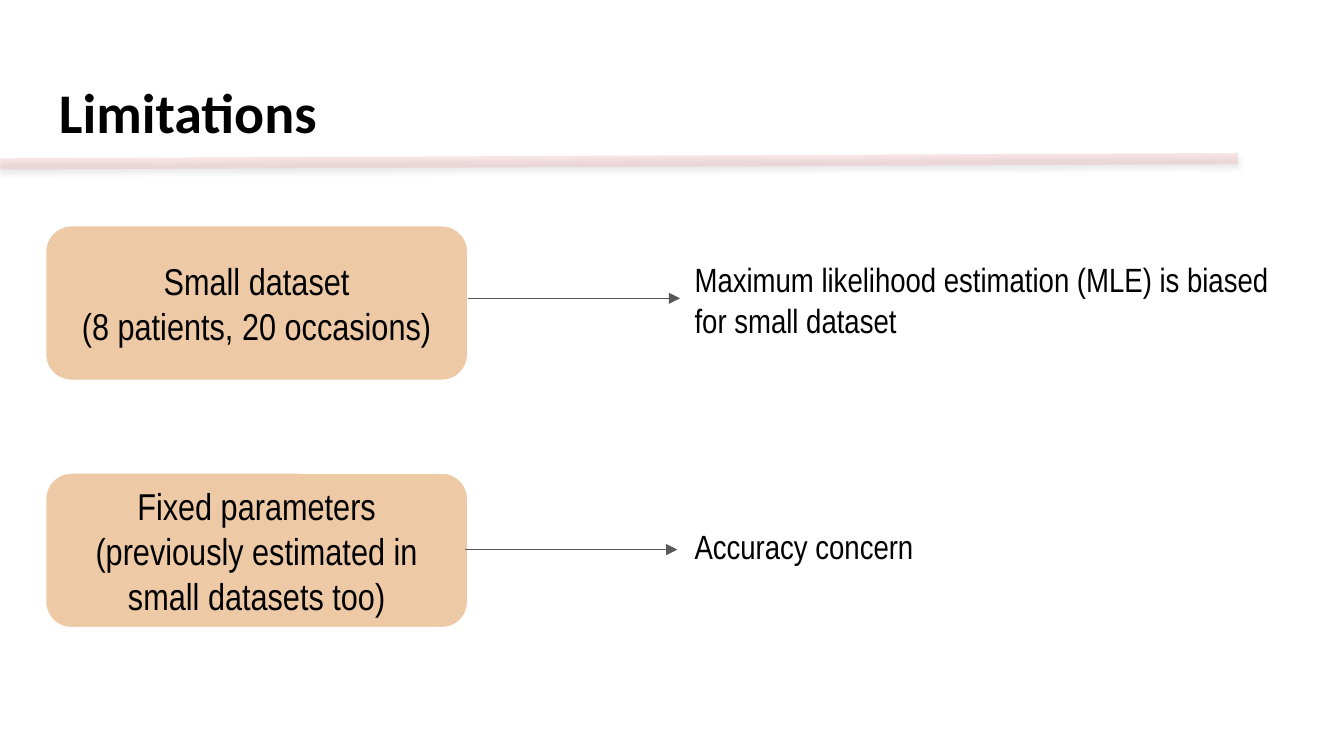
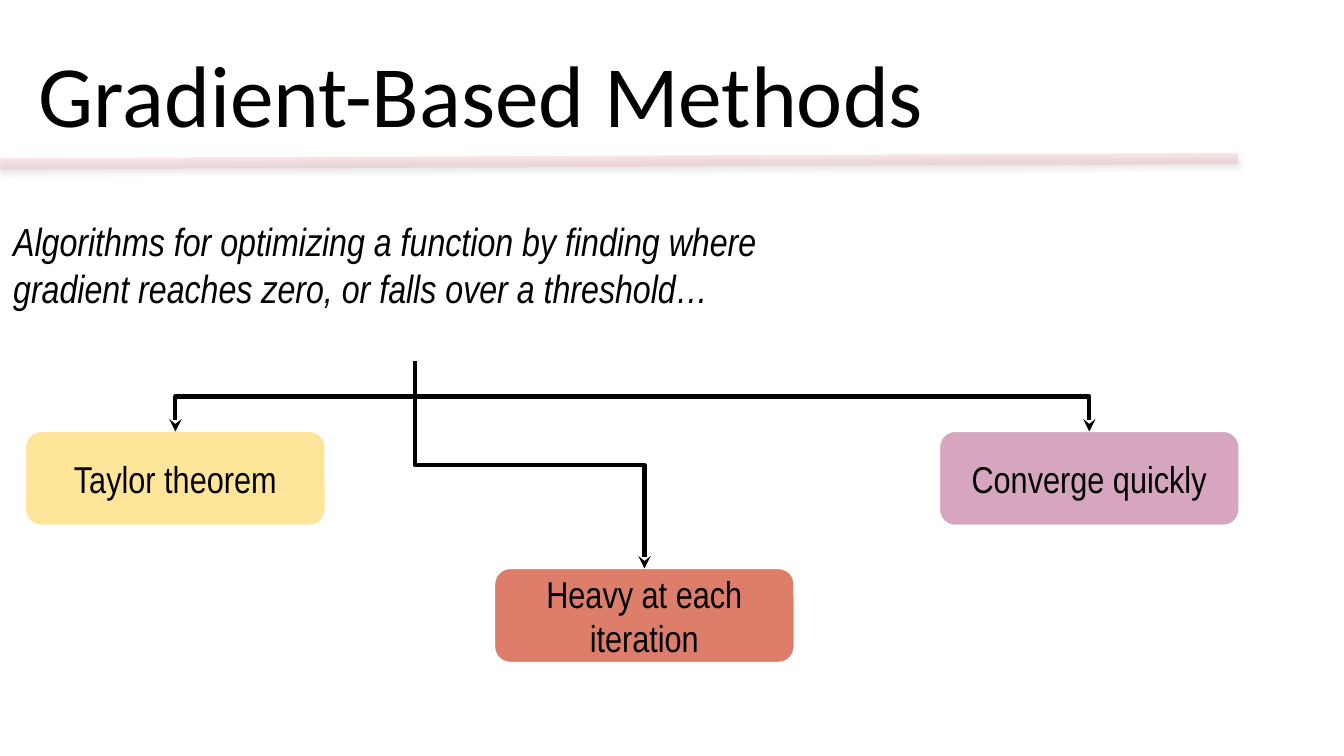
from lxml.etree import SubElement as Sub
from pptx import Presentation
from pptx.dml.color import RGBColor
from pptx.enum.shapes import MSO_CONNECTOR as Conn, MSO_SHAPE as Shape
from pptx.enum.text import MSO_ANCHOR as Anchor, PP_ALIGN as Align
from pptx.oxml.ns import qn
from pptx.util import Inches, Pt

BLACK, WHITE, GREY = "000000", "FFFFFF", "595959"
ROSE, SAND = "EA9999", "EDC9A6"
YELLOW, MAUVE, CORAL = "FFE599", "D5A6BD", "DD7E6B"
HEAD, BODY = "Calibri", "Arial Narrow"


def color(code):
    return RGBColor.from_string(code)


def write(shape, text, size=20, font=BODY, bold=False, italic=False,
          align=Align.LEFT, anchor=Anchor.TOP):
    frame = shape.text_frame
    frame.word_wrap = True
    frame.vertical_anchor = anchor
    frame.margin_left = frame.margin_right = Inches(0.1)
    frame.margin_top = frame.margin_bottom = Inches(0.1)
    frame.text = text
    for para in frame.paragraphs:
        para.alignment = align
        style = para.font
        style.size, style.name = Pt(size), font
        style.bold, style.italic = bold, italic
        style.color.rgb = color(BLACK)


def label(slide, box, text, **form):
    write(slide.shapes.add_textbox(*map(Inches, box)), text, **form)


def card(slide, box, text, fill):
    shape = slide.shapes.add_shape(Shape.ROUNDED_RECTANGLE, *map(Inches, box))
    shape.shadow.inherit = False
    shape.fill.solid()
    shape.fill.fore_color.rgb = color(fill)
    shape.line.color.rgb = color(WHITE)
    shape.line.width = Pt(0.75)
    write(shape, text, align=Align.CENTER, anchor=Anchor.MIDDLE)


def link(slide, start, end, tone, width, tip=None, kind=Conn.STRAIGHT):
    line = slide.shapes.add_connector(kind, *map(Inches, (*start, *end)))
    line.line.color.rgb = color(tone)
    line.line.width = Pt(width)
    props = line.element.spPr
    Sub(props, qn("a:effectLst"))
    if tip:
        Sub(props.find(qn("a:ln")), qn("a:tailEnd"), type=tip)
    return line


def drop(slide, start, end):
    (x1, y1), (x2, y2) = start, end
    mid_x, mid_y = (x1 + x2) / 2, (y1 + y2) / 2
    side = 1 if x2 > x1 else -1
    half_w, half_h = side * (y2 - y1) / 2, abs(x2 - x1) / 2
    line = link(slide, (mid_x + half_w, mid_y - half_h),
                (mid_x - half_w, mid_y + half_h),
                BLACK, 2.25, "stealth", Conn.ELBOW)
    turn = 270 if side > 0 else 90
    line.element.spPr.find(qn("a:xfrm")).set("rot", str(turn * 60000))


def band(slide):
    line = link(slide, (0, 1.22), (9.21, 1.18), ROSE, 6)
    props = line.element.spPr
    tint = props.find(".//" + qn("a:srgbClr"))
    Sub(tint, qn("a:alpha"), val="24000")
    glow = Sub(props.find(qn("a:effectLst")), qn("a:outerShdw"),
               blurRad=str(Pt(3.1)), dist=str(Pt(1.8)), dir="5400000",
               algn="bl", rotWithShape="0")
    Sub(Sub(glow, qn("a:srgbClr"), val=BLACK), qn("a:alpha"), val="35000")


def page(deck, title, left, width, **form):
    slide = deck.slides.add_slide(deck.slide_layouts[6])
    label(slide, (left, 0.12, width, 1.06), title, font=HEAD,
          anchor=Anchor.BOTTOM, **form)
    band(slide)
    return slide


def limit(slide, box, cause, effect, text_y, start):
    left, top, width, height = box
    card(slide, box, cause, SAND)
    label(slide, (left + 4.73, top + text_y, 5.06, 0.56), effect, size=18)
    x, y = left + start[0], top + start[1]
    link(slide, (x, y), (x + 1.58, y), GREY, 0.75, "triangle")


def limits(deck):
    slide = page(deck, "Limitations", 0.34, 7.82, size=30, bold=True)
    limit(slide, (0.34, 1.68, 3.14, 1.15),
          "Small dataset\n(8 patients, 20 occasions)",
          "Maximum likelihood estimation (MLE) is biased\nfor small dataset",
          0.15, (3.14, 0.54))
    limit(slide, (0.34, 3.52, 3.14, 1.15),
          "Fixed parameters\n(previously estimated in small datasets too)",
          "Accuracy concern", 0.29, (3.12, 0.57))


def methods(deck):
    slide = page(deck, "Gradient-Based Methods", -1.08, 9.32,
                 size=46.8, align=Align.CENTER)
    left, top, width, height = 0, 1.52, 6.17, 1.17
    label(slide, (left, top, width, height),
          "Algorithms for optimizing a function by finding where "
          "gradient reaches zero, or falls over a threshold…",
          size=21, italic=True)
    root = left + width / 2, top + height
    wide, high = 2.23, 0.7
    for x, y, text, fill in (
            (0.19, 3.21, "Taylor theorem", YELLOW),
            (6.99, 3.21, "Converge quickly", MAUVE),
            (3.68, 4.23, "Heavy at each iteration", CORAL)):
        card(slide, (x, y, wide, high), text, fill)
        drop(slide, root, (x + wide / 2, y))


def main():
    deck = Presentation()
    deck.slide_width = Inches(10)
    deck.slide_height = deck.slide_width * 9 // 16
    limits(deck)
    methods(deck)
    deck.save("out.pptx")


if __name__ == "__main__":
    main()
